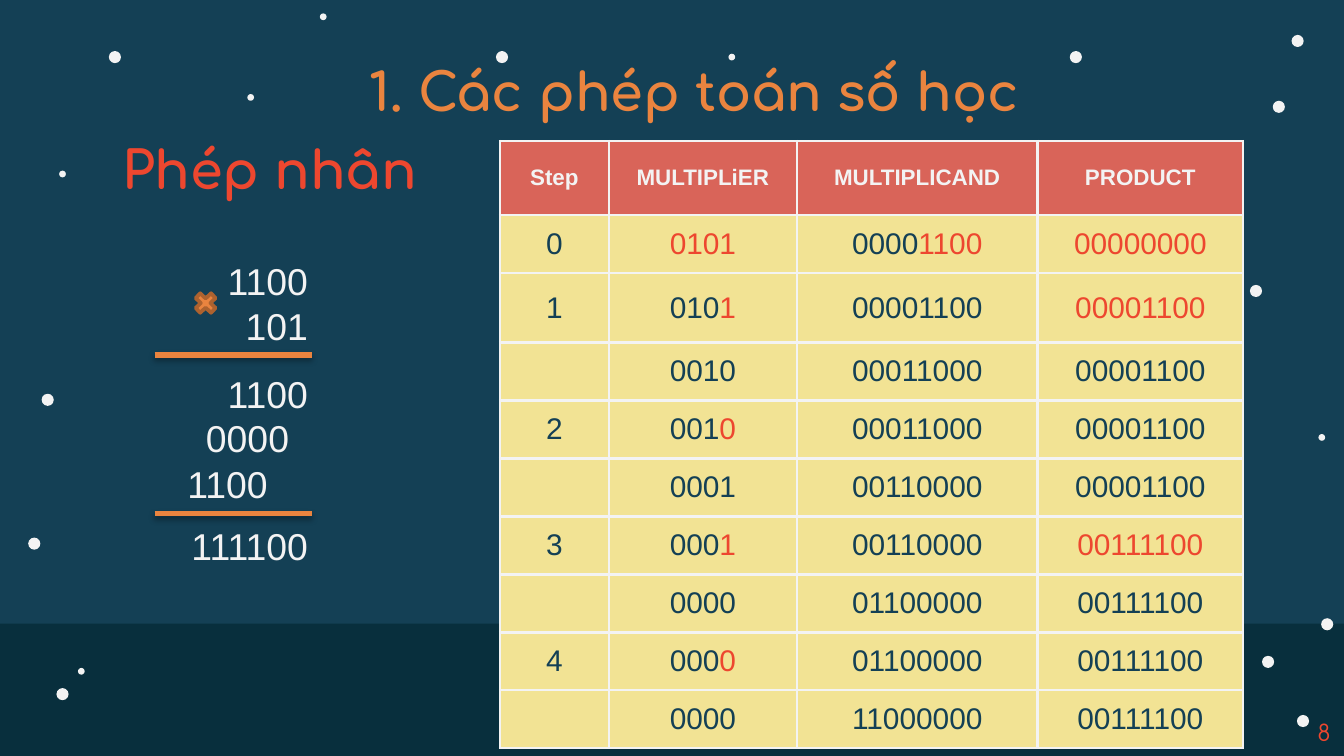
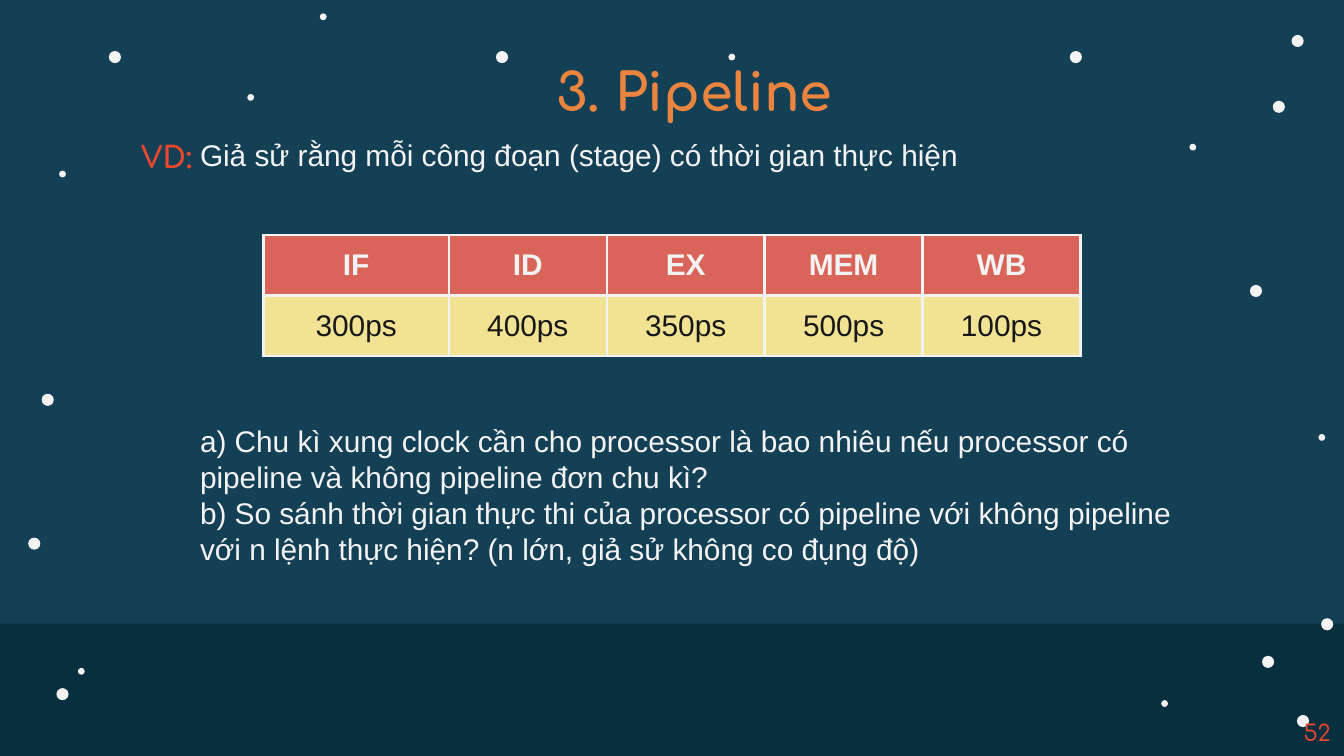
from dataclasses import dataclass
from typing import Any, Optional, Sequence

from lxml import etree
from pptx import Presentation
from pptx.dml.color import RGBColor
from pptx.enum.shapes import MSO_CONNECTOR, MSO_SHAPE
from pptx.enum.text import MSO_ANCHOR, MSO_AUTO_SIZE, PP_ALIGN
from pptx.oxml import parse_xml
from pptx.oxml.ns import nsdecls, qn
from pptx.util import Inches, Pt

NIGHT = RGBColor(0x14, 0x40, 0x55)
GROUND = RGBColor(0x08, 0x2F, 0x3D)
WHITE = RGBColor(0xF3, 0xF3, 0xF3)
ORANGE = RGBColor(0xEA, 0x84, 0x3F)
BROWN = RGBColor(0xAD, 0x62, 0x2F)
RED = RGBColor(0xED, 0x47, 0x2F)
CORAL = RGBColor(0xD9, 0x64, 0x59)
SAND = RGBColor(0xF2, 0xE3, 0x94)
BLACK = RGBColor(0x18, 0x18, 0x18)

BODY_FONT = "Arial"
TITLE_FONT = "Comfortaa"

LEFT, CENTER, RIGHT = PP_ALIGN.LEFT, PP_ALIGN.CENTER, PP_ALIGN.RIGHT
TOP, MIDDLE = MSO_ANCHOR.TOP, MSO_ANCHOR.MIDDLE
FIXED, GROW = MSO_AUTO_SIZE.NONE, MSO_AUTO_SIZE.SHAPE_TO_FIT_TEXT
RECTANGLE, OVAL = MSO_SHAPE.RECTANGLE, MSO_SHAPE.OVAL
MULTIPLY = MSO_SHAPE.MATH_MULTIPLY
STRAIGHT = MSO_CONNECTOR.STRAIGHT

TITLE_ONLY = 5
LARGE_STAR, SMALL_STAR = 0.09, 0.05


@dataclass(frozen=True)
class Area:
    left: float
    top: float
    width: float
    height: float

    def lengths(self) -> tuple:
        return tuple(map(Inches, (self.left, self.top, self.width, self.height)))


@dataclass(frozen=True)
class Format:
    size: float
    color: RGBColor
    font: str = BODY_FONT
    bold: bool = False


@dataclass(frozen=True)
class Grid:
    left: float
    top: float
    columns: Sequence[float]
    rows: Sequence[float]
    header: Format
    body: Format
    cells: Sequence[Sequence[str]]


TITLE = Format(28, ORANGE, TITLE_FONT, True)
SUBTITLE = Format(28, RED, TITLE_FONT, True)
EXAMPLE = Format(16, RED, TITLE_FONT, True)
NUMBER = Format(12, RED, TITLE_FONT)
DIGITS = Format(20, WHITE)
QUESTION = Format(16, WHITE)

LARGE_STARS = [
    (0.81, 0.38), (9.3, 2.12), (7.96, 0.38), (9.61, 0.26), (3.69, 0.38), (9.65, 5.32),
    (0.31, 2.93), (9.47, 0.75), (9.39, 4.88), (9.83, 4.6), (0.21, 4), (0.42, 5.12),
]
SMALL_STARS = [
    (0.44, 1.27), (8.85, 1.07), (8.64, 5.21), (0.58, 4.97),
    (5.42, 0.4), (2.38, 0.1), (1.84, 0.7), (9.81, 3.23),
]

MULTIPLICATION = Grid(
    3.72, 1.05, (0.81, 1.4, 1.79, 1.53), (0.55, 0.43, 0.52) + (0.43,) * 7,
    Format(12, WHITE, bold=True), Format(16, NIGHT),
    [
        ("Step", "MULTIPLiER", "MULTIPLICAND", "PRODUCT"),
        ("0", "|0101", "0000|1100", "|00000000"),
        ("1", "010|1", "00001100", "|00001100"),
        ("", "0010", "00011000", "00001100"),
        ("2", "001|0", "00011000", "00001100"),
        ("", "0001", "00110000", "00001100"),
        ("3", "000|1", "00110000", "|00111100"),
        ("", "0000", "01100000", "00111100"),
        ("4", "000|0", "01100000", "00111100"),
        ("", "0000", "11000000", "00111100"),
    ],
)
STAGES = Grid(
    1.96, 1.75, (1.38,) + (4.7 / 4,) * 4, (0.45, 0.45),
    Format(16, WHITE, bold=True), Format(16, BLACK),
    [
        ("IF", "ID", "EX", "MEM", "WB"),
        ("300ps", "400ps", "350ps", "500ps", "100ps"),
    ],
)


def add_span(para: Any, text: str, style: Format, color: Optional[RGBColor] = None) -> None:
    span = para.add_run()
    span.text = text
    span.font.name = style.font
    span.font.size = Pt(style.size)
    span.font.bold = style.bold
    span.font.color.rgb = color or style.color


def write_text(frame: Any, *lines: str, style: Format, align: Any = LEFT,
               anchor: Any = TOP, fit: Any = FIXED) -> None:
    frame.word_wrap = True
    frame.auto_size = fit
    frame.vertical_anchor = anchor
    for index, line in enumerate(lines):
        para = frame.add_paragraph() if index else frame.paragraphs[0]
        para.alignment = align
        add_span(para, line, style)


def add_text(page: Any, area: Area, *lines: str, **options: Any) -> Any:
    box = page.shapes.add_textbox(*area.lengths())
    write_text(box.text_frame, *lines, **options)
    return box


def add_figure(page: Any, kind: Any, area: Area, fill: RGBColor,
               outline: Optional[RGBColor] = None) -> None:
    figure = page.shapes.add_shape(kind, *area.lengths())
    figure.shadow.inherit = False
    figure.fill.solid()
    figure.fill.fore_color.rgb = fill
    if outline is None:
        figure.line.fill.background()
    else:
        figure.line.color.rgb = outline
        figure.line.width = Pt(2)


def add_rule(page: Any, left: float, right: float, top: float) -> None:
    rule = page.shapes.add_connector(
        STRAIGHT, Inches(left), Inches(top), Inches(right), Inches(top))
    rule.line.color.rgb = ORANGE
    rule.line.width = Pt(3)
    rule.element.spPr.append(parse_xml(
        f'<a:effectLst {nsdecls("a")}><a:outerShdw blurRad="{Pt(3.1)}" dist="{Pt(1.8)}" '
        'dir="5400000" rotWithShape="0"><a:srgbClr val="000000"><a:alpha val="35000"/>'
        '</a:srgbClr></a:outerShdw></a:effectLst>'))


def fill_cell(cell: Any, text: str, style: Format, fill: RGBColor) -> None:
    cell.fill.solid()
    cell.fill.fore_color.rgb = fill
    cell.vertical_anchor = MIDDLE
    cell.margin_left = cell.margin_right = Inches(0.09)
    cell.margin_top = cell.margin_bottom = Inches(0.08)
    para = cell.text_frame.paragraphs[0]
    para.alignment = CENTER
    plain, _, marked = text.partition("|")
    if plain:
        add_span(para, plain, style)
    if marked:
        add_span(para, marked, style, RED)
    if not text:
        etree.SubElement(para._p, qn("a:endParaRPr"), sz=str(style.size * 100))
    properties = cell._tc.get_or_add_tcPr()
    for index, side in enumerate("LRTB"):
        properties.insert(index, parse_xml(
            f'<a:ln{side} {nsdecls("a")} w="{Pt(1.5)}"><a:solidFill>'
            f'<a:srgbClr val="{WHITE}"/></a:solidFill></a:ln{side}>'))


def add_grid(page: Any, grid: Grid) -> None:
    area = Area(grid.left, grid.top, sum(grid.columns), sum(grid.rows))
    table = page.shapes.add_table(
        len(grid.rows), len(grid.columns), *area.lengths()).table
    table.horz_banding = False
    for column, width in zip(table.columns, grid.columns):
        column.width = Inches(width)
    for index, (row, height) in enumerate(zip(table.rows, grid.rows)):
        row.height = Inches(height)
        style, fill = (grid.body, SAND) if index else (grid.header, CORAL)
        for cell, text in zip(row.cells, grid.cells[index]):
            fill_cell(cell, text, style, fill)


def add_page(deck: Any, title: str, number: int) -> Any:
    page = deck.slides.add_slide(deck.slide_layouts[TITLE_ONLY])
    page.background.fill.solid()
    page.background.fill.fore_color.rgb = NIGHT
    add_figure(page, RECTANGLE, Area(0, 4.64, 10, 1.02), GROUND)
    for stars, size in ((LARGE_STARS, LARGE_STAR), (SMALL_STARS, SMALL_STAR)):
        for left, top in stars:
            add_figure(page, OVAL, Area(left, top, size, size), WHITE)
    heading = page.shapes.title
    heading.left, heading.top, heading.width, heading.height = Area(
        0.95, 0.36, 8.43, 0.63).lengths()
    frame = heading.text_frame
    frame.margin_left = frame.margin_right = Inches(0.1)
    frame.margin_top = frame.margin_bottom = Inches(0.1)
    write_text(frame, title, style=TITLE, align=CENTER, anchor=MIDDLE)
    add_text(page, Area(7.75, 5.3, 2.25, 0.3), str(number),
             style=NUMBER, align=RIGHT, anchor=MIDDLE)
    return page


def build_multiplication(deck: Any) -> None:
    page = add_page(deck, "1. Các phép toán số học", 8)
    add_grid(page, MULTIPLICATION)
    add_text(page, Area(0.81, 0.97, 3.93, 0.57), "Phép nhân", style=SUBTITLE, fit=GROW)
    sums = [
        (Area(0.81, 1.87, 1.58, 0.77), ("1100", "101")),
        (Area(0.95, 2.71, 1.44, 0.44), ("1100",)),
        (Area(0.81, 3.04, 1.44, 0.44), ("0000",)),
        (Area(0.65, 3.38, 1.44, 0.44), ("1100",)),
        (Area(0.95, 3.84, 1.44, 0.44), ("111100",)),
    ]
    for area, lines in sums:
        add_text(page, area, *lines, style=DIGITS, align=RIGHT, fit=GROW)
    for top in (2.64, 3.82):
        add_rule(page, 1.15, 2.32, top)
    add_figure(page, MULTIPLY, Area(1.42, 2.15, 0.22, 0.21), ORANGE, BROWN)


def build_pipeline(deck: Any) -> None:
    page = add_page(deck, "3. Pipeline", 52)
    box = add_text(
        page, Area(1.39, 0.97, 7.54, 3.33),
        "Giả sử rằng mỗi công đoạn (stage) có thời gian thực hiện",
        "a) Chu kì xung clock cần cho processor là bao nhiêu nếu processor có "
        "pipeline và không pipeline đơn chu kì?",
        "b) So sánh thời gian thực thi của processor có pipeline với không pipeline "
        "với n lệnh thực hiện? (n lớn, giả sử không co đụng độ)",
        style=QUESTION, fit=GROW)
    box.text_frame.paragraphs[1].space_before = Pt(134)
    add_text(page, Area(0.95, 0.98, 5, 0.37), "VD:", style=EXAMPLE, fit=GROW)
    add_grid(page, STAGES)


def main() -> None:
    deck = Presentation()
    deck.slide_width = Inches(10)
    deck.slide_height = deck.slide_width * 9 // 16
    build_multiplication(deck)
    build_pipeline(deck)
    deck.save("out.pptx")


if __name__ == "__main__":
    main()
